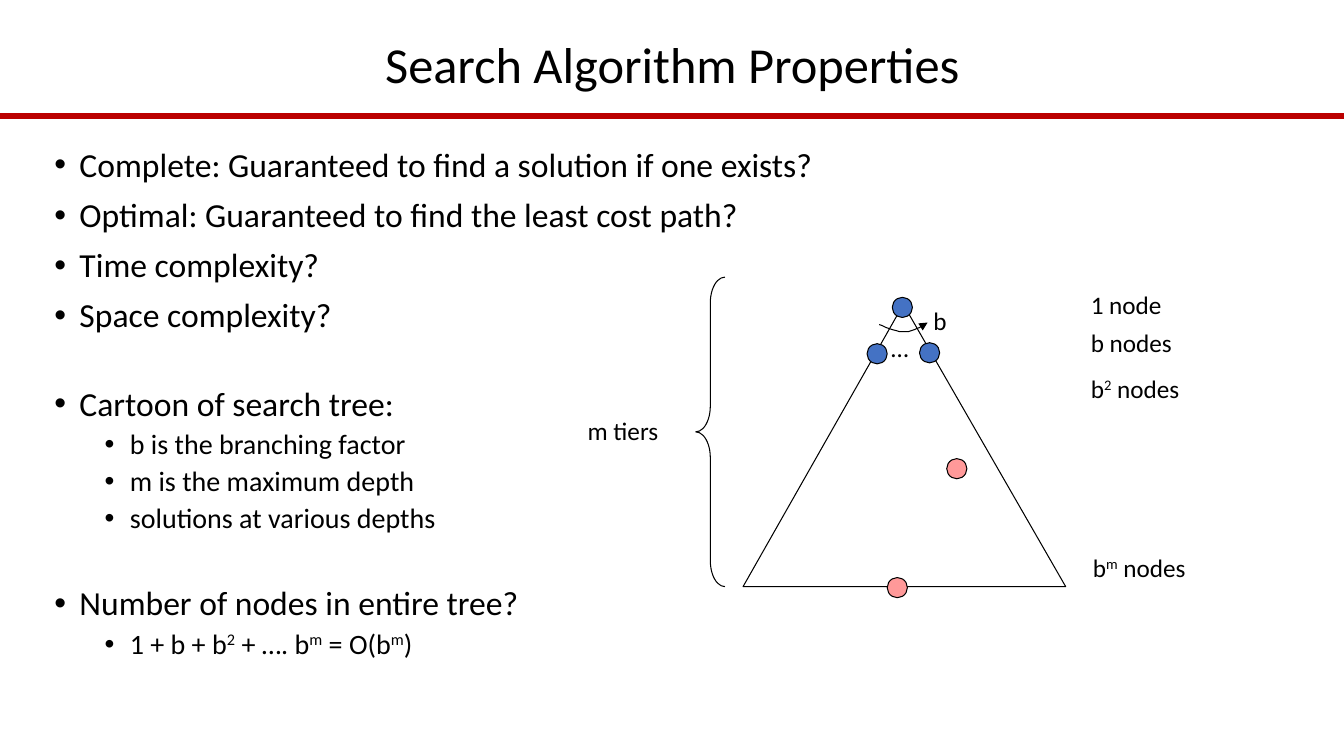
from typing import NamedTuple

from lxml import etree
from pptx import Presentation
from pptx.dml.color import RGBColor
from pptx.enum.shapes import MSO_CONNECTOR, MSO_SHAPE
from pptx.enum.text import MSO_ANCHOR, PP_ALIGN
from pptx.oxml.ns import qn
from pptx.util import Pt

PX = 9144
FONT = "Calibri"
OVAL = MSO_SHAPE.OVAL
BRACE = MSO_SHAPE.LEFT_BRACE
STRAIGHT = MSO_CONNECTOR.STRAIGHT
MIDDLE = MSO_ANCHOR.MIDDLE
CENTER = PP_ALIGN.CENTER
COLORS = {"ink": "000000", "rule": "BB0000", "node": "4472C4", "goal": "FF9999"}
DOT = 20
STEPS = 8


class Item(NamedTuple):
    text: str
    level: int = 0
    gap: int = 0


class Label(NamedTuple):
    text: str
    x: int
    y: int
    w: int


class Node(NamedTuple):
    x: int
    y: int
    color: str


ITEMS = [
    Item("Complete: Guaranteed to find a solution if one exists?"),
    Item("Optimal: Guaranteed to find the least cost path?"),
    Item("Time complexity?"),
    Item("Space complexity?"),
    Item("Cartoon of search tree:", gap=27),
    Item("b is the branching factor", 1),
    Item("m is the maximum depth", 1),
    Item("solutions at various depths", 1),
    Item("Number of nodes in entire tree?", gap=27),
    Item("1 + b + b^2^ + …. b^m^ = O(b^m^)", 1),
]
LABELS = [
    Label("…", 874, 325, 30),
    Label("b", 916, 298, 33),
    Label("1 node", 1072, 282, 122),
    Label("b nodes", 1072, 320, 122),
    Label("b^2^ nodes", 1072, 365, 122),
    Label("b^m^ nodes", 1074, 543, 160),
    Label("m tiers", 573, 407, 138),
]
NODES = [
    Node(885, 295, "node"),
    Node(860, 341, "node"),
    Node(912, 340, "node"),
    Node(880, 573, "goal"),
    Node(939, 455, "goal"),
]
TREE = [(737, 582), (1057, 582), (896, 302)]
ARC = [
    [(872, 322), (881, 326), (890, 330), (898, 329)],
    [(898, 329), (906, 329), (913, 324), (920, 320)],
]


def rgb(name: str) -> RGBColor:
    return RGBColor.from_string(COLORS[name])


def add_frame(slide, x: int, y: int, w: int, h: int):
    frame = slide.shapes.add_textbox(x * PX, y * PX, w * PX, h * PX).text_frame
    frame.word_wrap = True
    return frame


def write(para, text: str, size: int) -> None:
    for i, part in enumerate(text.split("^")):
        run = para.add_run()
        run.text = part
        run.font.name = FONT
        run.font.size = Pt(size)
        run.font.color.rgb = rgb("ink")
        if i % 2:
            run.font._element.set("baseline", "30000")


def add_title(slide) -> None:
    frame = add_frame(slide, 92, 34, 1150, 66)
    frame.vertical_anchor = MIDDLE
    para = frame.paragraphs[0]
    para.alignment = CENTER
    para.line_spacing = 0.9
    write(para, "Search Algorithm Properties", 36)


def add_body(slide) -> None:
    frame = add_frame(slide, 44, 142, 1244, 517)
    for i, item in enumerate(ITEMS):
        para = frame.add_paragraph() if i else frame.paragraphs[0]
        para.level = item.level
        para.line_spacing = 0.9
        para.space_before = Pt((5 if item.level else 10) + item.gap)
        props = para._p.get_or_add_pPr()
        props.set("marL", str((25 + 50 * item.level) * PX))
        props.set("indent", str(-25 * PX))
        etree.SubElement(props, qn("a:buFont")).set("typeface", "Arial")
        etree.SubElement(props, qn("a:buChar")).set("char", "•")
        write(para, item.text, 20 if item.level else 24)


def add_label(slide, label: Label) -> None:
    frame = add_frame(slide, label.x, label.y, label.w, 40)
    write(frame.paragraphs[0], label.text, 18)


def style(shape, fill: str = "") -> None:
    shape.shadow.inherit = False
    shape.line.color.rgb = rgb("ink")
    shape.line.width = Pt(0.75)
    if fill:
        shape.fill.solid()
        shape.fill.fore_color.rgb = rgb(fill)
    else:
        shape.fill.background()


def add_node(slide, node: Node) -> None:
    shape = slide.shapes.add_shape(
        OVAL, node.x * PX, node.y * PX, DOT * PX, DOT * PX)
    style(shape, node.color)


def add_path(slide, points: list, close: bool):
    (x, y), *rest = points
    form = slide.shapes.build_freeform(x, y, scale=PX)
    form.add_line_segments(rest, close=close)
    shape = form.convert_to_shape()
    style(shape)
    return shape


def bend(curve: list, t: float) -> tuple:
    parts = ((1 - t) ** 3, 3 * t * (1 - t) ** 2, 3 * t * t * (1 - t), t ** 3)
    return tuple(sum(k * p[axis] for k, p in zip(parts, curve)) for axis in (0, 1))


def add_arc(slide) -> None:
    points = [ARC[0][0]]
    points += [bend(curve, i / STEPS) for curve in ARC for i in range(1, STEPS + 1)]
    arc = add_path(slide, points, False)
    tail = etree.SubElement(arc.line._get_or_add_ln(), qn("a:tailEnd"))
    tail.set("type", "triangle")


def add_rule(slide) -> None:
    rule = slide.shapes.add_connector(STRAIGHT, 0, 115 * PX, 1333 * PX, 115 * PX)
    rule.line.color.rgb = rgb("rule")
    rule.line.width = Pt(4)
    etree.SubElement(rule._element.spPr, qn("a:effectLst"))


def add_brace(slide) -> None:
    brace = slide.shapes.add_shape(BRACE, 690 * PX, 275 * PX, 29 * PX, 307 * PX)
    brace.adjustments[0] = 0.88
    style(brace)


def main() -> None:
    deck = Presentation()
    deck.slide_width = 1333 * PX
    deck.slide_height = 750 * PX
    slide = deck.slides.add_slide(deck.slide_layouts[6])
    add_rule(slide)
    add_title(slide)
    add_body(slide)
    add_path(slide, TREE, True)
    for node in NODES:
        add_node(slide, node)
    add_arc(slide)
    add_brace(slide)
    for label in LABELS:
        add_label(slide, label)
    deck.save("out.pptx")


if __name__ == "__main__":
    main()
